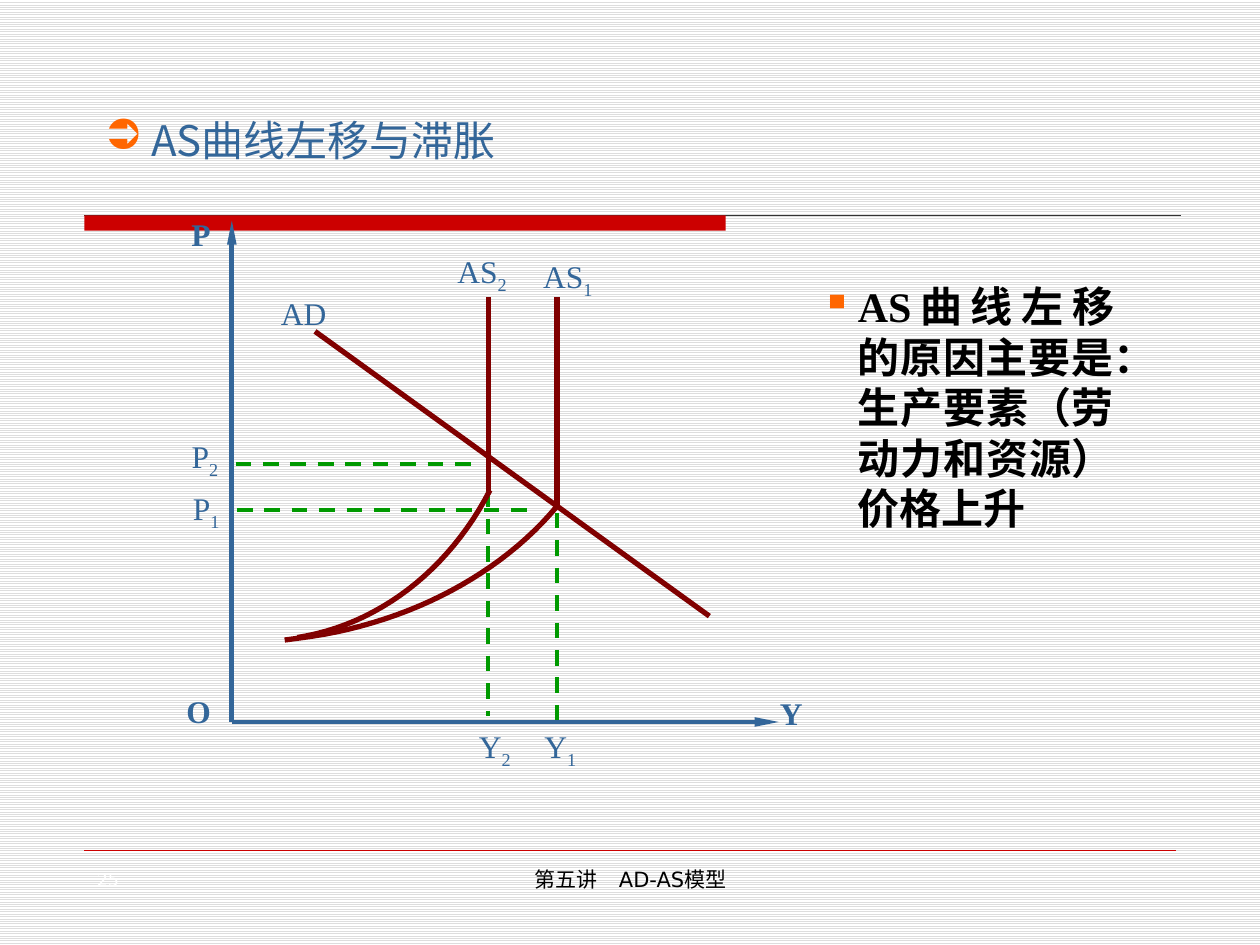
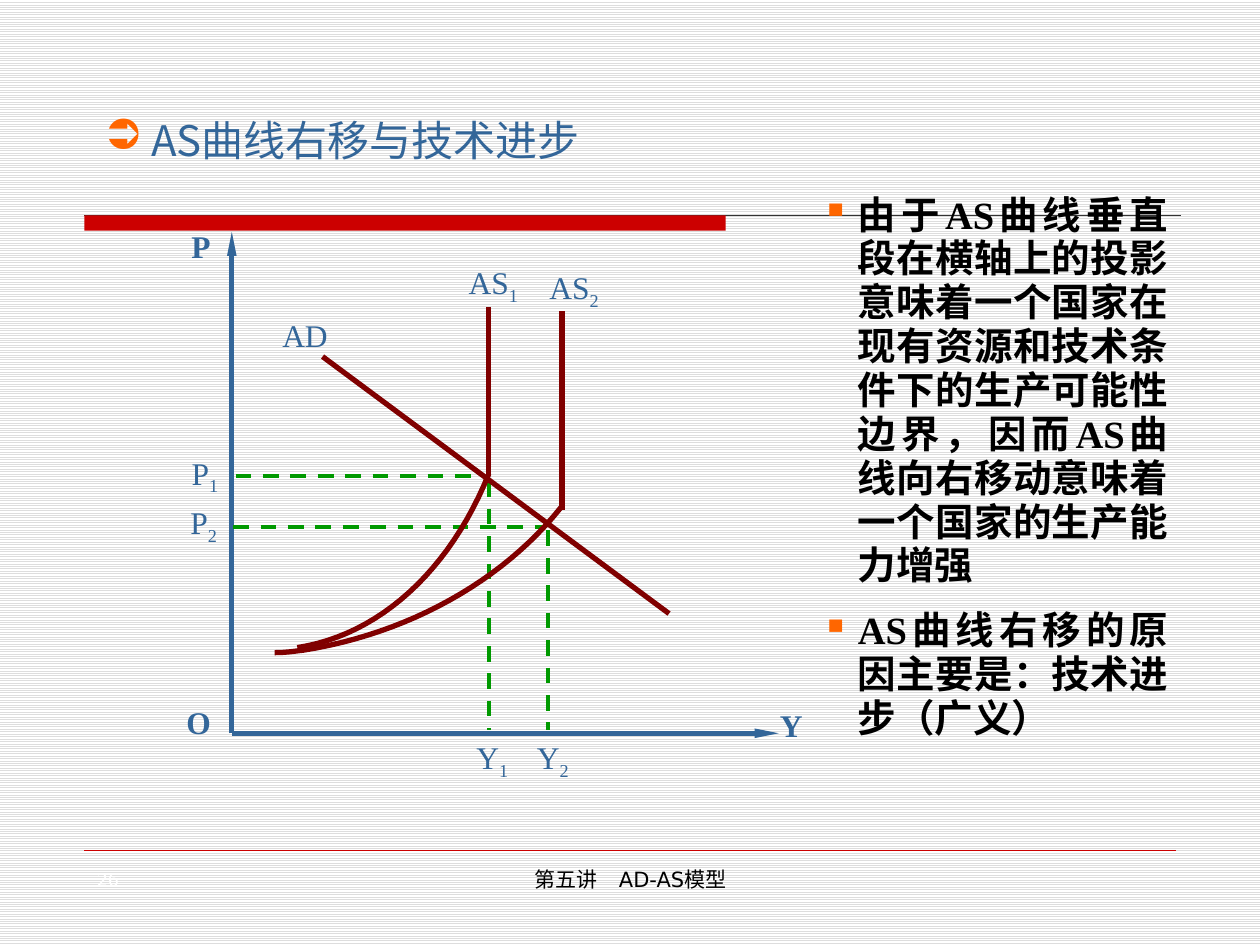
from dataclasses import dataclass

from lxml import etree
from pptx import Presentation
from pptx.dml.color import RGBColor
from pptx.enum.dml import MSO_LINE, MSO_PATTERN
from pptx.enum.shapes import MSO_CONNECTOR, MSO_SHAPE
from pptx.enum.text import MSO_ANCHOR, PP_ALIGN
from pptx.oxml.ns import qn
from pptx.util import Pt

PX = 9144
STRAIGHT = MSO_CONNECTOR.STRAIGHT
RECTANGLE = MSO_SHAPE.RECTANGLE
DASH = MSO_LINE.DASH
STRIPES = MSO_PATTERN.LIGHT_HORIZONTAL
MIDDLE = MSO_ANCHOR.MIDDLE
TOP = MSO_ANCHOR.TOP
LEFT = PP_ALIGN.LEFT
CENTER = PP_ALIGN.CENTER
JUSTIFY = PP_ALIGN.JUSTIFY


@dataclass(frozen=True)
class Theme:
    blue: str = "336699"
    red: str = "CC0000"
    rule: str = "333333"
    orange: str = "FF6600"
    green: str = "009900"
    maroon: str = "800000"
    black: str = "000000"
    white: str = "FFFFFF"
    stripe: str = "DDDDDD"
    serif: str = "Times New Roman"
    sans: str = "DejaVu Sans"
    chinese: str = "Noto Sans CJK SC"
    title_size: int = 24
    label_size: int = 18
    footer_size: int = 12
    number_size: int = 10
    axis_width: float = 2.75
    guide_width: float = 2.25
    curve_width: float = 3
    steps: int = 24


THEME = Theme()
FOOTER = "第五讲　AD-AS模型"
ORIGIN_X = 184

SLIDES = [
    dict(
        number="25",
        title="AS曲线左移与滞胀",
        body=["AS曲线左移的原因主要是：生产要素（劳动力和资源）价格上升"],
        body_box=(642, 218, 252, 209), body_size=24, spacing=1.0,
        origin_y=573,
        labels=[("AS", "2", 361, 199), ("AS", "1", 429, 203), ("AD", "", 221, 232),
                ("P", "2", 150, 346), ("P", "1", 151, 387),
                ("Y", "2", 378, 576), ("Y", "1", 430, 576)],
        guides=[(187, 368, 374, 368), (387, 368, 387, 568),
                (188, 405, 423, 405), (442, 407, 442, 572)],
        lines=[(388, 236, 388, 390), (442, 236, 442, 402), (250, 263, 563, 489)],
        curves=[[(236, 506), (300, 496), (356, 453), (389, 389)],
                [(226, 508), (234, 507), (241, 506), (248, 505),
                 (327, 493), (398, 455), (442, 402)]],
    ),
    dict(
        number="26",
        title="AS曲线右移与技术进步",
        body=["由于AS曲线垂直段在横轴上的投影意味着一个国家在现有资源和技术条件下的"
              "生产可能性边界，因而AS曲线向右移动意味着一个国家的生产能力增强",
              "AS曲线右移的原因主要是：技术进步（广义）"],
        body_box=(642, 149, 295, 445), body_size=22, spacing=0.95,
        origin_y=582,
        labels=[("AS", "1", 370, 208), ("AS", "2", 434, 212), ("AD", "", 222, 250),
                ("P", "1", 150, 359), ("P", "2", 149, 398),
                ("Y", "1", 376, 585), ("Y", "2", 424, 585)],
        guides=[(187, 378, 384, 378), (388, 382, 388, 579),
                (185, 418, 433, 418), (435, 421, 435, 579)],
        lines=[(388, 244, 388, 377), (446, 247, 446, 405), (256, 283, 531, 487)],
        curves=[[(236, 514), (301, 504), (357, 453), (388, 376)],
                [(218, 518), (226, 518), (233, 517), (241, 516),
                 (324, 503), (399, 461), (445, 403)]],
    ),
]


def color(value):
    return RGBColor.from_string(value)


def emu(*lengths):
    return [length * PX for length in lengths]


def format_span(span, size, ink, font, bold=False):
    span.font.size = Pt(size)
    span.font.name = font
    span.font.bold = bold
    span.font.color.rgb = color(ink)
    east_asian = etree.SubElement(span.font._element, qn("a:ea"))
    east_asian.set("typeface", THEME.chinese)


def add_text(page, bounds, paragraphs, size, ink, font, bold=False,
             align=LEFT, anchor=TOP, insets=(10, 5)):
    box = page.shapes.add_textbox(*emu(*bounds))
    frame = box.text_frame
    frame.word_wrap = True
    frame.vertical_anchor = anchor
    frame.margin_left = frame.margin_right = insets[0] * PX
    frame.margin_top = frame.margin_bottom = insets[1] * PX
    frame.text = "\n".join(paragraphs)
    for para in frame.paragraphs:
        para.alignment = align
        for span in para.runs:
            format_span(span, size, ink, font, bold)
    return frame


def add_bullet(para, symbol, indent=0):
    properties = para._p.get_or_add_pPr()
    properties.set("marL", str(indent * PX))
    properties.set("indent", str(-indent * PX))
    bullet_color = etree.SubElement(properties, qn("a:buClr"))
    etree.SubElement(bullet_color, qn("a:srgbClr")).set("val", THEME.orange)
    etree.SubElement(properties, qn("a:buChar")).set("char", symbol)


def add_line(page, ends, ink, width, dashed=False, arrow=False):
    line = page.shapes.add_connector(STRAIGHT, *emu(*ends))
    line.line.color.rgb = color(ink)
    line.line.width = Pt(width)
    etree.SubElement(line._element.spPr, qn("a:effectLst"))
    if dashed:
        line.line.dash_style = DASH
    if arrow:
        head = etree.SubElement(line.line._get_or_add_ln(), qn("a:tailEnd"))
        for key, value in (("type", "triangle"), ("w", "sm"), ("len", "lg")):
            head.set(key, value)


def bezier_point(controls, t):
    weights = ((1 - t) ** 3, 3 * t * (1 - t) ** 2, 3 * t ** 2 * (1 - t), t ** 3)
    return tuple(round(PX * sum(weight * point[axis]
                                for weight, point in zip(weights, controls)))
                 for axis in (0, 1))


def add_curve(page, controls):
    points = [bezier_point(controls[first:first + 4], step / THEME.steps)
              for first in range(0, len(controls) - 1, 3)
              for step in range(1, THEME.steps + 1)]
    builder = page.shapes.build_freeform(*emu(*controls[0]))
    builder.add_line_segments(points, close=False)
    curve = builder.convert_to_shape()
    curve.shadow.inherit = False
    curve.fill.background()
    curve.line.color.rgb = color(THEME.maroon)
    curve.line.width = Pt(THEME.curve_width)


def add_label(page, name, subscript, left, top, bold=False):
    width = 32 + 8 * len(name + subscript)
    frame = add_text(page, (left, top, width, 47), [name], THEME.label_size,
                     THEME.blue, THEME.serif, bold, JUSTIFY, insets=(2, 1))
    if subscript:
        span = frame.paragraphs[0].add_run()
        span.text = subscript
        format_span(span, THEME.label_size, THEME.blue, THEME.serif)
        span.font._element.set("baseline", "-25000")


def add_frame(page, title, number):
    fill = page.background.fill
    fill.patterned()
    fill.pattern = STRIPES
    fill.fore_color.rgb = color(THEME.stripe)
    fill.back_color.rgb = color(THEME.white)
    add_line(page, (67, 171, 937, 171), THEME.rule, 0.75)
    band = page.shapes.add_shape(RECTANGLE, *emu(67, 171, 509, 12))
    band.shadow.inherit = False
    band.fill.solid()
    band.fill.fore_color.rgb = color(THEME.red)
    band.line.fill.background()
    add_line(page, (67, 675, 933, 675), THEME.red, 0.25)
    heading = add_text(page, (83, 91, 598, 40), [" " + title], THEME.title_size,
                       THEME.blue, THEME.chinese, anchor=MIDDLE, insets=(0, 0))
    add_bullet(heading.paragraphs[0], "➲")
    add_text(page, (67, 685, 100, 30), [number], THEME.number_size,
             THEME.white, THEME.sans)
    add_text(page, (342, 683, 317, 52), [FOOTER], THEME.footer_size,
             THEME.black, THEME.sans, align=CENTER)


def add_body(page, paragraphs, bounds, size, spacing):
    frame = add_text(page, bounds, paragraphs, size, THEME.black, THEME.serif,
                     bold=True, align=JUSTIFY)
    for index, para in enumerate(frame.paragraphs):
        para.line_spacing = spacing
        para.space_before = Pt(12 if index else 0)
        add_bullet(para, "▪", 29)


def add_axes(page, origin_y):
    for end in ((ORIGIN_X, origin_y - 398), (ORIGIN_X + 434, origin_y)):
        add_line(page, (ORIGIN_X, origin_y, *end), THEME.blue,
                 THEME.axis_width, arrow=True)
    for name, left, rise in (("P", 150, 403), ("O", 146, 25), ("Y", 617, 23)):
        add_label(page, name, "", left, origin_y - rise, bold=True)


def add_diagram(page, content):
    add_axes(page, content["origin_y"])
    for ends in content["guides"]:
        add_line(page, ends, THEME.green, THEME.guide_width, dashed=True)
    for controls in content["curves"]:
        add_curve(page, controls)
    for ends in content["lines"]:
        add_line(page, ends, THEME.maroon, THEME.curve_width)
    for label in content["labels"]:
        add_label(page, *label)


def main():
    deck = Presentation()
    deck.slide_width, deck.slide_height = emu(1000, 750)
    for content in SLIDES:
        page = deck.slides.add_slide(deck.slide_layouts[6])
        add_frame(page, content["title"], content["number"])
        add_body(page, content["body"], content["body_box"],
                 content["body_size"], content["spacing"])
        add_diagram(page, content)
    deck.save("out.pptx")


if __name__ == "__main__":
    main()
